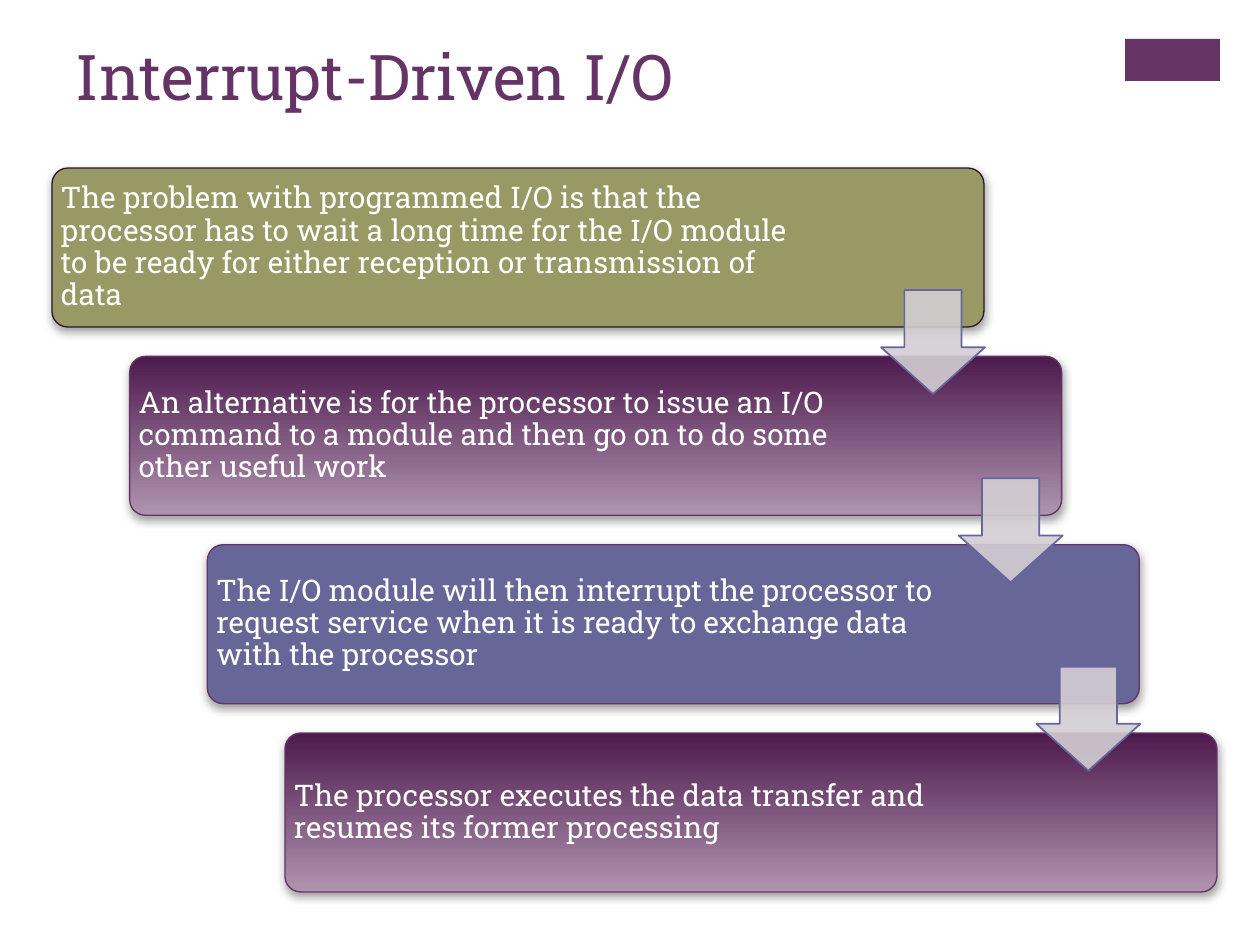
from lxml import etree
from pptx import Presentation
from pptx.dml.color import RGBColor
from pptx.enum import shapes, text
from pptx.oxml import ns
from pptx.util import Pt

PX = 914400 / 126
FONT = "Roboto Slab"
WHITE = RGBColor(0xFF, 0xFF, 0xFF)
PURPLE = RGBColor(0x66, 0x33, 0x66)
DARK_PURPLE = RGBColor(0x4D, 0x1A, 0x4D)
PALE_PURPLE = RGBColor(0xAF, 0x94, 0xAF)
INK = RGBColor(0x2B, 0x14, 0x2D)
OLIVE = RGBColor(0x99, 0x99, 0x66)
SLATE = RGBColor(0x66, 0x66, 0x99)
ARROW_GREY = RGBColor(0xD3, 0xCE, 0xD3)
SHADOW_GREY = RGBColor(0x80, 0x80, 0x80)

TITLE = "Interrupt-Driven I/O"
# wording, fill colours (two make a gradient), outline, text width
STEPS = [
    ("The problem with programmed I/O is that the processor has to wait a long time "
     "for the I/O module to be ready for either reception or transmission of data",
     (OLIVE,), INK, 756),
    ("An alternative is for the processor to issue an I/O command to a module "
     "and then go on to do some other useful work",
     (DARK_PURPLE, PALE_PURPLE), PURPLE, 751),
    ("The I/O module will then interrupt the processor to request service "
     "when it is ready to exchange data with the processor",
     (SLATE,), PURPLE, 752),
    ("The processor executes the data transfer and resumes its former processing",
     (DARK_PURPLE, PALE_PURPLE), PURPLE, 751),
]
FIRST, LAST = (52, 168), (285, 733)
BOX_W, BOX_H = 932, 159
ARROW_DX, ARROW_DY, ARROW_SIZE = 829, 122, 104
INSET = 9


def emu(*lengths):
    return [round(length * PX) for length in lengths]


def step_corner(index):
    """Left and top of a step, spaced evenly from the first to the last."""
    return [a + (b - a) * index / (len(STEPS) - 1) for a, b in zip(FIRST, LAST)]


def add_shape(slide, kind, box, colours, line=None, width=0.75, adjust=()):
    shape = slide.shapes.add_shape(kind, *emu(*box))
    shape.shadow.inherit = False
    for i, value in enumerate(adjust):
        shape.adjustments[i] = value
    if len(colours) == 1:
        shape.fill.solid()
        shape.fill.fore_color.rgb = colours[0]
    else:
        shape.fill.gradient()
        shape.fill.gradient_angle = 270
        for stop, colour in zip(shape.fill.gradient_stops, colours):
            stop.color.rgb = colour
    if line is None:
        shape.line.fill.background()
    else:
        shape.line.color.rgb = line
        shape.line.width = Pt(width)
    return shape


def add_alpha(colour_element, percent):
    etree.SubElement(colour_element, ns.qn("a:alpha"), val=str(percent * 1000))


def cast_shadow(shape):
    effects = shape._element.spPr.find(ns.qn("a:effectLst"))
    shadow = etree.SubElement(effects, ns.qn("a:outerShdw"), blurRad=str(Pt(5)),
                              dist=str(Pt(2)), dir="5400000", rotWithShape="0")
    colour = etree.SubElement(shadow, ns.qn("a:srgbClr"), val=str(SHADOW_GREY))
    add_alpha(colour, 75)


def write(shape, wording, size, colour, anchor, inset=None, spacing=None):
    frame = shape.text_frame
    frame.word_wrap = True
    frame.auto_size = text.MSO_AUTO_SIZE.NONE
    frame.vertical_anchor = anchor
    if inset is not None:
        (frame.margin_left, frame.margin_top,
         frame.margin_right, frame.margin_bottom) = emu(*[inset] * 4)
    frame.text = wording
    paragraph = frame.paragraphs[0]
    paragraph.alignment = text.PP_ALIGN.LEFT
    paragraph.line_spacing = spacing
    font = paragraph.runs[0].font
    font.name, font.size = FONT, Pt(size)
    font.color.rgb = colour


def main():
    deck = Presentation()
    deck.slide_width, deck.slide_height = emu(1260, 945)
    slide = deck.slides.add_slide(deck.slide_layouts[5])

    add_shape(slide, shapes.MSO_SHAPE.RECTANGLE, (1125, 39, 95, 42), [PURPLE])
    title = slide.shapes.title
    title.left, title.top, title.width, title.height = emu(63, 31, 1041, 154)
    write(title, TITLE, 36, PURPLE, text.MSO_ANCHOR.TOP)

    for i, (wording, colours, outline, text_width) in enumerate(STEPS):
        left, top = step_corner(i)
        card = add_shape(slide, shapes.MSO_SHAPE.ROUNDED_RECTANGLE,
                         (left, top, BOX_W, BOX_H), colours, outline, adjust=[0.1])
        cast_shadow(card)
        label = slide.shapes.add_textbox(*emu(left, top, text_width, BOX_H))
        write(label, wording, 17, WHITE, text.MSO_ANCHOR.MIDDLE, INSET, 0.9)

    for i in range(len(STEPS) - 1):
        left, top = step_corner(i)
        arrow = add_shape(slide, shapes.MSO_SHAPE.DOWN_ARROW,
                          (left + ARROW_DX, top + ARROW_DY, ARROW_SIZE, ARROW_SIZE),
                          [ARROW_GREY], SLATE, 1, adjust=[0.55, 0.45])
        add_alpha(arrow._element.spPr.find(ns.qn("a:solidFill"))[0], 90)

    deck.save("out.pptx")


if __name__ == "__main__":
    main()
